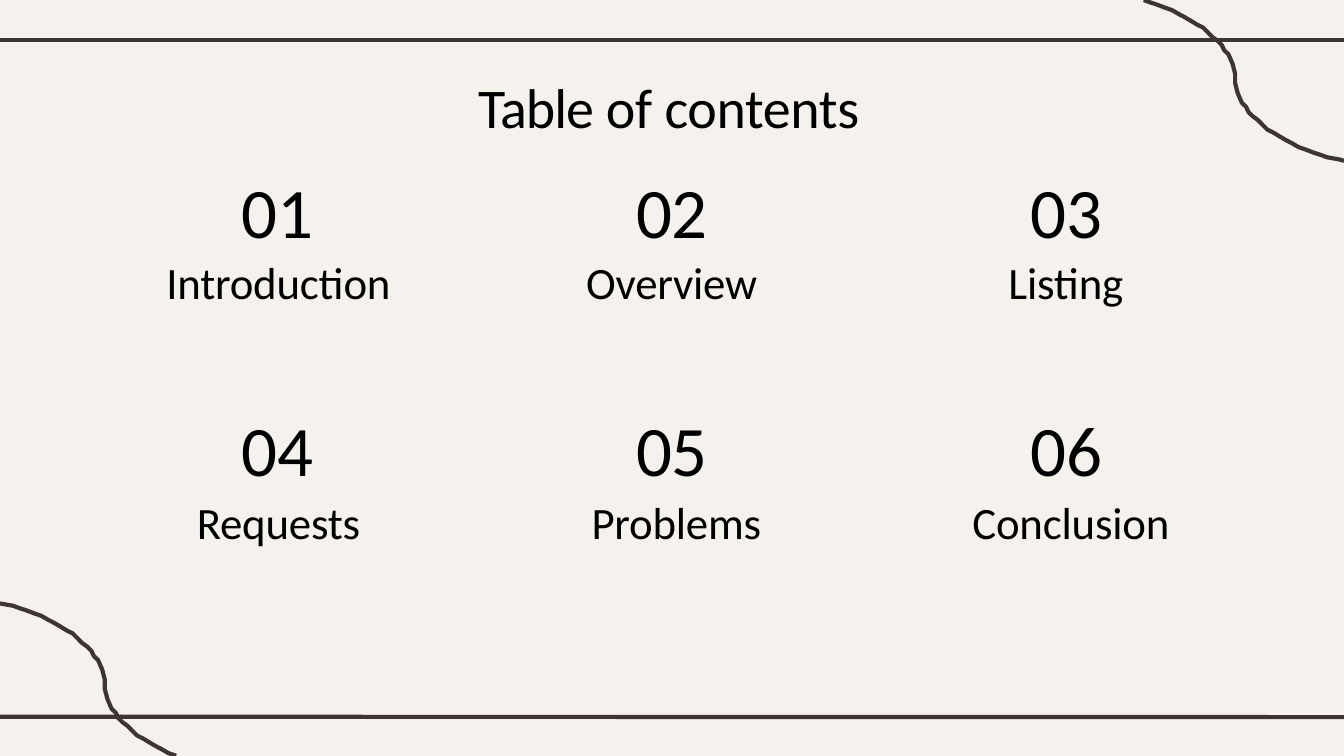
from dataclasses import dataclass

from lxml import etree
from pptx import Presentation
from pptx.dml.color import RGBColor
from pptx.enum.shapes import MSO_CONNECTOR
from pptx.enum.text import MSO_ANCHOR, PP_ALIGN
from pptx.oxml.ns import qn
from pptx.util import Pt

STRAIGHT = MSO_CONNECTOR.STRAIGHT
CENTER = PP_ALIGN.CENTER
TOP = MSO_ANCHOR.TOP
NO_STYLE_NO_GRID = "{2D5ABB26-0587-4C30-8999-92F81FD0307C}"


@dataclass(frozen=True)
class Theme:
    font: str = "Calibri"
    paper: RGBColor = RGBColor(0xF5, 0xF1, 0xED)
    stroke: RGBColor = RGBColor(0x3E, 0x35, 0x33)
    ink: RGBColor = RGBColor(0, 0, 0)
    line_width: float = 2.24
    title_size: int = 30
    number_size: int = 38
    label_size: int = 24


def write(frame, spans, *, theme, size, line=None, before=None):
    """Fill a frame with one centred paragraph of (text, letter spacing) spans."""
    para = frame.paragraphs[0]
    para.alignment = CENTER
    if line:
        para.line_spacing = Pt(line)
    if before:
        para.space_before = Pt(before)
    for text, spacing in spans:
        span = para.add_run()
        span.text = text
        span.font.name = theme.font
        span.font.size = Pt(size)
        span.font.color.rgb = theme.ink
        span.font._element.set("spc", str(round(spacing * 100)))


class Page:
    def __init__(self, deck, theme):
        self.theme = theme
        self.slide = deck.slides.add_slide(deck.slide_layouts[6])

    def style_line(self, shape):
        shape.line.color.rgb = self.theme.stroke
        shape.line.width = Pt(self.theme.line_width)

    def rule(self, y, width):
        rule = self.slide.shapes.add_connector(STRAIGHT, 0, Pt(y), Pt(width), Pt(y))
        self.style_line(rule)
        etree.SubElement(rule._element.spPr, qn("a:effectLst"))

    def outline(self, *contours, close=False):
        """Join contours in one shape, without fill or line."""
        builder = None
        for contour in contours:
            start, *rest = [(Pt(x), Pt(y)) for x, y in contour]
            if builder is None:
                builder = self.slide.shapes.build_freeform(*start)
            else:
                builder.move_to(*start)
            builder.add_line_segments(rest, close=close)
        shape = builder.convert_to_shape()
        shape.shadow.inherit = False
        shape.fill.background()
        shape.line.fill.background()
        return shape

    def backdrop(self, width, height):
        backdrop = self.outline(
            [(width, 0), (0, 0), (0, height), (width, height)], close=True)
        backdrop.fill.solid()
        backdrop.fill.fore_color.rgb = self.theme.paper

    def strokes(self, *contours):
        self.style_line(self.outline(*contours))

    def table(self, left, top, widths, heights):
        table = self.slide.shapes.add_table(
            len(heights), len(widths), Pt(left), Pt(top),
            Pt(sum(widths)), Pt(sum(heights))).table
        table.first_row = table.horz_banding = False
        table._tbl.tblPr.find(qn("a:tableStyleId")).text = NO_STYLE_NO_GRID
        for column, width in zip(table.columns, widths):
            column.width = Pt(width)
        for row, height in zip(table.rows, heights):
            row.height = Pt(height)
        for cell in table.iter_cells():
            cell.fill.solid()
            cell.fill.fore_color.rgb = self.theme.paper
            cell.vertical_anchor = TOP
            cell.margin_left = cell.margin_right = 0
            cell.margin_top = cell.margin_bottom = 0
        return table

    def cell(self, table, row, column, spans, shift, inset=0, **text_format):
        """Write a cell, its text moved sideways from the column's middle."""
        cell = table.cell(row, column)
        cell.margin_left = Pt(max(0, 2 * shift))
        cell.margin_right = Pt(max(0, -2 * shift))
        cell.margin_top = Pt(inset)
        write(cell.text_frame, spans, theme=self.theme, **text_format)


WIDTH, HEIGHT = 720, 405
theme = Theme()
deck = Presentation()
deck.slide_width, deck.slide_height = Pt(WIDTH), Pt(HEIGHT)
page = Page(deck, theme)

# Corner waves: one half arm, mirrored through the wave's centre
ARM = [(0, 2.5), (1.4, 7.9), (3.6, 13), (5.8, 15.1), (7.2, 18), (9.4, 20.2),
       (12.3, 22.3), (14.4, 24.5), (17.3, 27.4), (20.2, 28.8), (23.8, 31),
       (27.4, 33.1), (30.3, 34.6), (33.9, 36.7), (38.2, 38.2), (41.8, 39.6),
       (46.1, 41), (49, 42.1), (56.2, 43.4), (58.3, 44.1)]


def wave(x, y, upper, lower):
    return ([(x - dx, y - dy) for dx, dy in reversed(ARM[:upper])]
            + [(x + dx, y + dy) for dx, dy in ARM[:lower]])


# Backdrop, rules and waves
page.backdrop(WIDTH, HEIGHT)
page.rule(21.6, WIDTH)
page.strokes([(0, 384), (WIDTH, 384.2)], wave(56.2, 366.7, 19, 15))
page.strokes(wave(661.7, 42.1, 18, 20))

# Contents table
contents = page.table(85.7, 48.2, [146.9, 259.9, 137.5],
                      [41, 51.8, 56.9, 71.3, 27.4])
page.cell(contents, 0, 1, [("Table ", -0.5), ("of ", -0.1), ("contents", -0.2)],
          shift=-4.3, size=theme.title_size, line=28.5)

# Chapters: label and its sideways nudge, in two bands of three
COLUMN_SHIFTS = (-10.5, -2.5, 10.1)
BANDS = [
    (1, [("Introduction", 0.5), ("Overview", -0.2), ("Listing", -0.3)],
     dict(inset=2.2, before=1.9), dict(inset=0.5, line=25.4)),
    (3, [("Requests", 0.5), ("Problems", 2.3), ("Conclusion", 2.4)],
     dict(inset=21.4, before=20.7), dict(line=26.1)),
]
for band, (row, chapters, number_format, label_format) in enumerate(BANDS):
    for column, (label, nudge) in enumerate(chapters):
        shift = COLUMN_SHIFTS[column]
        number = f"{band * 3 + column + 1:02d}"
        page.cell(contents, row, column, [(number, 0)], shift,
                  size=theme.number_size, **number_format)
        page.cell(contents, row + 1, column, [(label, -0.1)], shift + nudge,
                  size=theme.label_size, **label_format)

deck.save("out.pptx")
